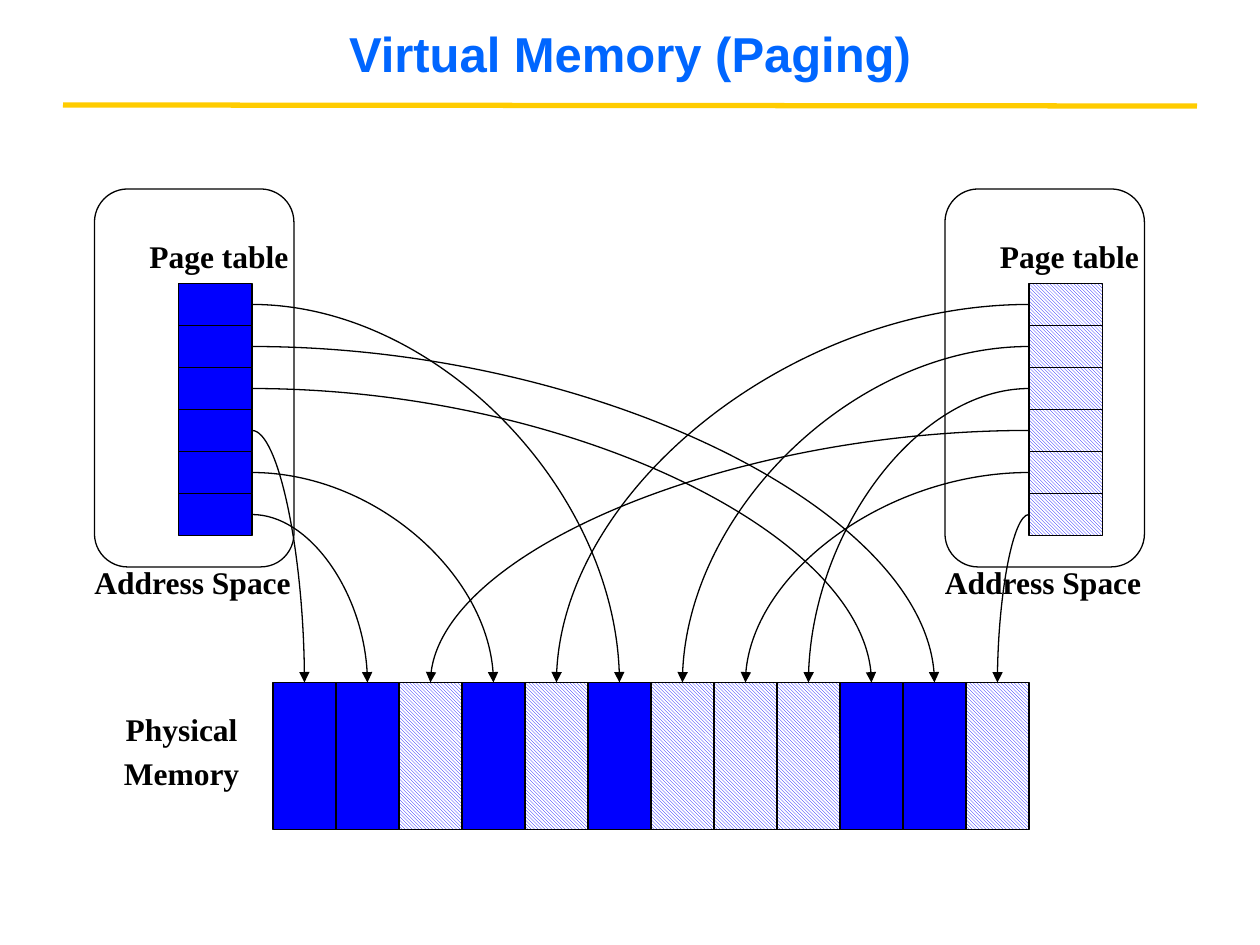
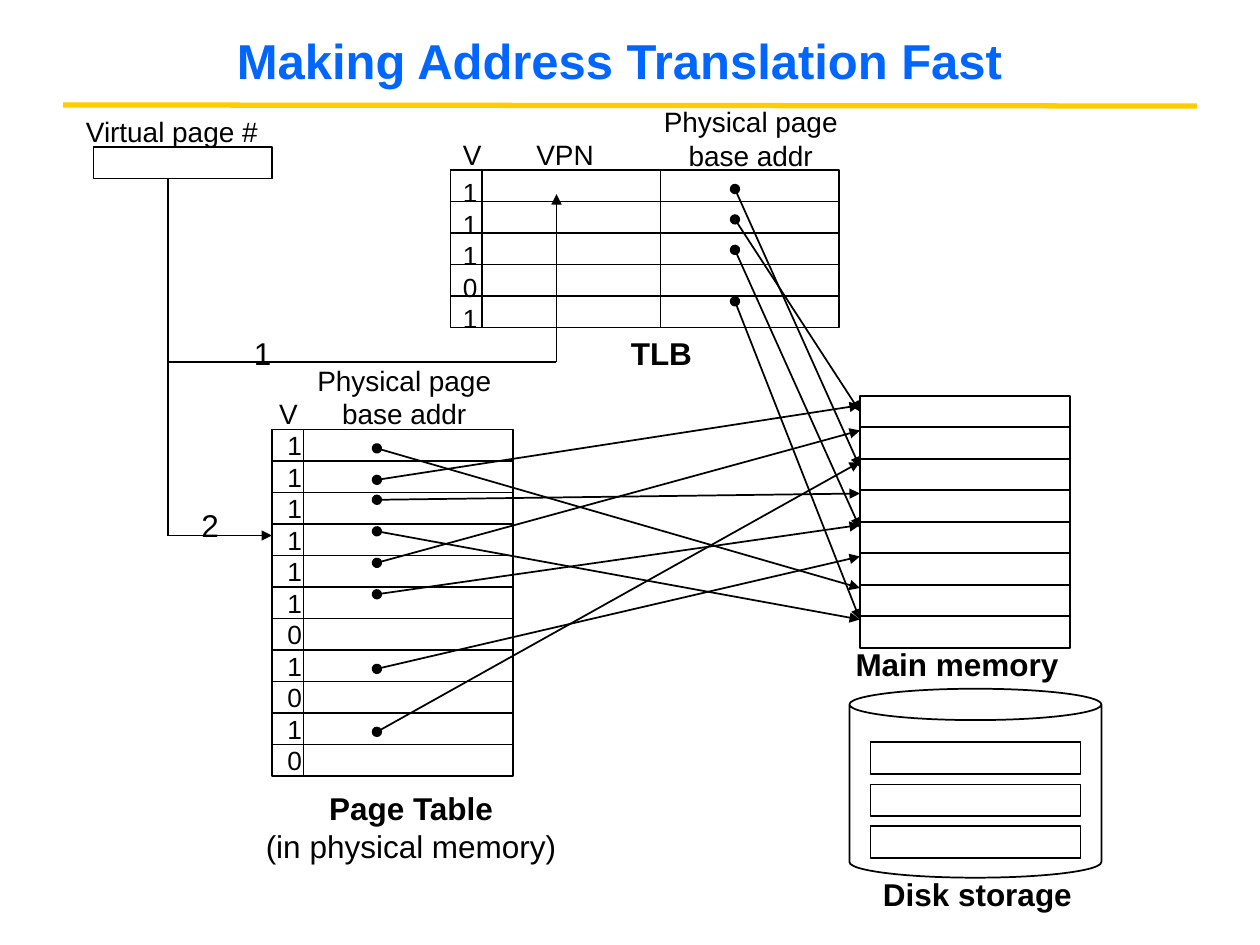
"""Builds two slides on paging and fast address translation."""
from lxml import etree
from pptx import Presentation
from pptx import util as u
from pptx.dml.color import RGBColor
from pptx.enum import dml, shapes, text
from pptx.oxml import ns

SCALE = 7620
HUES = {"title": "0066FF", "rule": "FFCC00", "page": "0000FF",
        "ink": "000000", "paper": "FFFFFF"}
KIND = shapes.MSO_SHAPE
LINK = shapes.MSO_CONNECTOR
MID = text.PP_ALIGN.CENTER
LEFT = text.PP_ALIGN.LEFT
SERIF = {"name": "Times New Roman", "size": u.Pt(18), "bold": True}
SMALL = {"name": "Arial", "size": u.Pt(16), "bold": False}
BITS = {**SMALL, "size": u.Pt(15)}
PLAIN = {**SMALL, "size": u.Pt(18)}
BOLD = {**PLAIN, "bold": True}
HEAD = {**BOLD, "size": u.Pt(28)}
SPACED = {"alignment": MID, "space_before": u.Pt(3.6)}
LEFT_MAP = [5, 10, 9, 0, 3, 1]
RIGHT_MAP = [4, 6, 8, 2, 7, 11]


def px(*vals):
    """Turn px into EMU."""
    return [u.Emu(round(v * SCALE)) for v in vals]


def hue(name):
    """Give a named colour."""
    return RGBColor.from_string(HUES[name])


def style(item, vals):
    """Set each format value on an item."""
    for key, val in vals.items():
        setattr(item, key, val)


def label(slide, box, lines, fonts, para=None, color="ink", fit=True):
    """Add text, one paragraph a line, with one font or a font for each line."""
    frame = slide.shapes.add_textbox(*px(*box)).text_frame
    size = text.MSO_AUTO_SIZE
    anchor = text.MSO_ANCHOR
    style(frame, {"word_wrap": not fit,
                  "auto_size": size.SHAPE_TO_FIT_TEXT if fit else size.NONE,
                  "vertical_anchor": anchor.TOP if fit else anchor.MIDDLE})
    if isinstance(fonts, dict):
        fonts = [fonts] * len(lines)
    for num, (line, font) in enumerate(zip(lines, fonts)):
        par = frame.add_paragraph() if num else frame.paragraphs[0]
        style(par, para or {"alignment": LEFT})
        run = par.add_run()
        run.text = line
        style(run.font, font)
        run.font.color.rgb = hue(color)


def block(slide, box, kind=KIND.RECTANGLE, fill=None, width=1):
    """Add an outlined shape that is empty, solid or hatched."""
    shape = slide.shapes.add_shape(kind, *px(*box))
    shape.shadow.inherit = False
    if fill == "solid":
        shape.fill.solid()
        shape.fill.fore_color.rgb = hue("page")
    elif fill == "hatch":
        shape.fill.patterned()
        shape.fill.pattern = dml.MSO_PATTERN.LIGHT_DOWNWARD_DIAGONAL
        shape.fill.fore_color.rgb = hue("page")
        shape.fill.back_color.rgb = hue("paper")
    else:
        shape.fill.background()
    shape.line.color.rgb = hue("ink")
    shape.line.width = u.Pt(width)
    return shape


def finish(link, width=1, color="ink", **ends):
    """Set the line and the ends of a connector."""
    link.line.color.rgb = hue(color)
    link.line.width = u.Pt(width)
    props = link._element.spPr
    ln = props.find(ns.qn("a:ln"))
    for end in ("head", "tail"):
        if end in ends:
            etree.SubElement(ln, ns.qn(f"a:{end}End"), type=ends[end])
    etree.SubElement(props, ns.qn("a:effectLst"))


def line(slide, pts, **look):
    """Add a straight line from x, y to x, y."""
    finish(slide.shapes.add_connector(LINK.STRAIGHT, *px(*pts)), **look)


def curve(slide, cell, side, page):
    """Link the side of a table cell to the top of a memory page."""
    link = slide.shapes.add_connector(LINK.CURVE, 0, 0, 0, 0)
    link.begin_connect(cell, side)
    link.end_connect(page, 0)
    link._element.spPr.find(ns.qn("a:prstGeom")).set("prst", "curvedConnector2")
    finish(link, 0.75, tail="triangle")


def grid(slide, x, y, w, rows, step=30):
    """Add a box that lines cut into rows."""
    block(slide, (x, y, w, rows * step))
    for row in range(1, rows):
        line(slide, (x, y + row * step, x + w, y + row * step))


def start(deck, title, box):
    """Add a slide with its title and rule."""
    slide = deck.slides.add_slide(deck.slide_layouts[6])
    line(slide, (60, 100, 1140, 101), width=3, color="rule")
    label(slide, box, [title], HEAD, {"alignment": MID}, "title", False)
    return slide


def space(slide, dx, fill):
    """Add an address space and return its page table cells."""
    cells = [block(slide, (170 + dx, 270 + 40 * row, 70, 40), fill=fill, width=0.75)
             for row in range(6)]
    label(slide, (130 + dx, 220, 157, 48), ["Page table"], SERIF, SPACED)
    label(slide, (78 + dx, 530, 211, 48), ["Address Space"], SERIF, SPACED)
    block(slide, (90 + dx, 180, 190, 360), KIND.ROUNDED_RECTANGLE, width=0.75)
    return cells


def paging(deck):
    """Build the slide on virtual memory."""
    slide = start(deck, "Virtual Memory (Paging)", (90, 0, 1020, 100))
    right = space(slide, 810, "hatch")
    left = space(slide, 0, "solid")
    pages = [block(slide, (260 + 60 * num, 650, 60, 140), width=0.75,
                   fill="solid" if num in LEFT_MAP else "hatch")
             for num in range(12)]
    label(slide, (106, 670, 134, 91), ["Physical", "Memory"], SERIF, SPACED)
    for cells, side, goals in ((left, 3, LEFT_MAP), (right, 1, RIGHT_MAP)):
        for cell, goal in zip(cells, goals):
            curve(slide, cell, side, pages[goal])


def tables(slide):
    """Add the page table, the TLB, main memory and the disk."""
    grid(slide, 259, 409, 230, 11)
    grid(slide, 819, 377, 200, 8)
    grid(slide, 629, 162, 170, 5)
    grid(slide, 429, 162, 200, 5)
    line(slide, (289, 409, 289, 739))
    line(slide, (459, 162, 459, 312))
    disk = block(slide, (809, 656, 240, 180), KIND.CAN)
    disk.adjustments[0] = 0.166
    for row in range(3):
        block(slide, (829, 707 + 40 * row, 200, 30))
    block(slide, (89, 140, 170, 30))


def labels(slide):
    """Add the names and valid bits of the tables."""
    for box, word, font in (
            ((803, 608, 217, 48), "Main memory", BOLD),
            ((829, 827, 204, 48), "Disk storage", BOLD),
            ((589, 312, 83, 48), "TLB", BOLD),
            ((70, 103, 188, 44), "Virtual page #", SMALL),
            ((254, 372, 42, 44), "V", SMALL),
            ((429, 125, 42, 44), "V", SMALL),
            ((499, 125, 79, 44), "VPN", SMALL),
            ((230, 312, 41, 48), "1", PLAIN),
            ((180, 476, 41, 48), "2", PLAIN)):
        label(slide, box, [word], font)
    for x, y in ((290, 340), (620, 94)):
        label(slide, (x, y, 190, 77), ["Physical page", "base addr"], SMALL,
              {"alignment": MID})
    for x, y, bits in ((262, 403, "11111101010"), (429, 162, "11101")):
        label(slide, (x, y, 38, 12 + 30 * len(bits)), bits, BITS,
              {"alignment": LEFT, "line_spacing": u.Pt(18)})
    label(slide, (241, 746, 301, 84), ["Page Table", "(in physical memory)"],
          [BOLD, PLAIN], {"alignment": MID})


def lookup(deck):
    """Build the slide on address translation."""
    slide = start(deck, "Making Address Translation Fast", (20, 20, 1140, 75))
    tables(slide)
    labels(slide)
    paths = {359: [(427, 560), (457, 386), (476, 470), (506, 590),
                   (536, 410), (566, 500), (637, 530), (697, 440)],
             700: [(180, 445), (209, 392), (238, 503), (287, 590)]}
    for x, ends in paths.items():
        for top, goal in ends:
            line(slide, (x, top, 819, goal), head="oval", tail="triangle")
    line(slide, (160, 170, 160, 510))
    line(slide, (160, 510, 259, 510), tail="triangle")
    line(slide, (160, 345, 530, 345))
    line(slide, (530, 345, 530, 185), tail="triangle")


def main():
    """Build and save the deck."""
    deck = Presentation()
    deck.slide_width, deck.slide_height = px(1200, 900)
    paging(deck)
    lookup(deck)
    deck.save("out.pptx")


if __name__ == "__main__":
    main()
